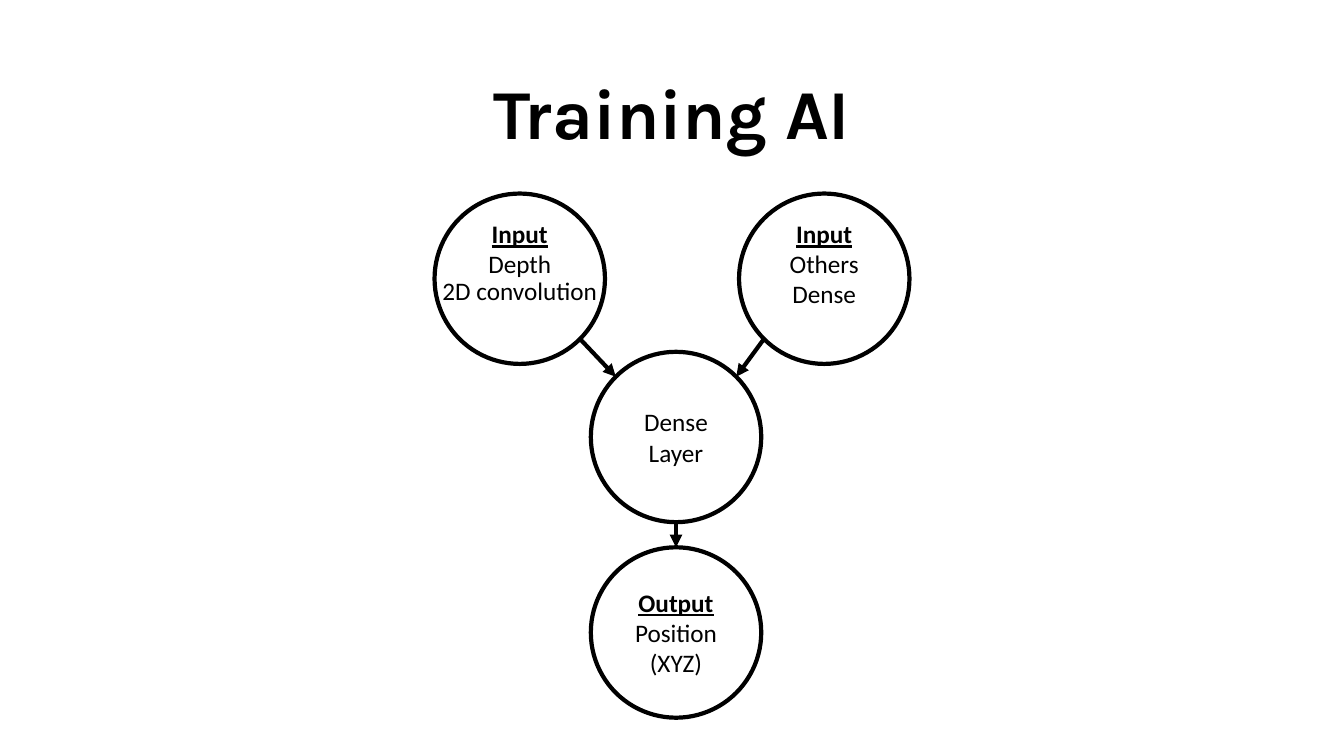
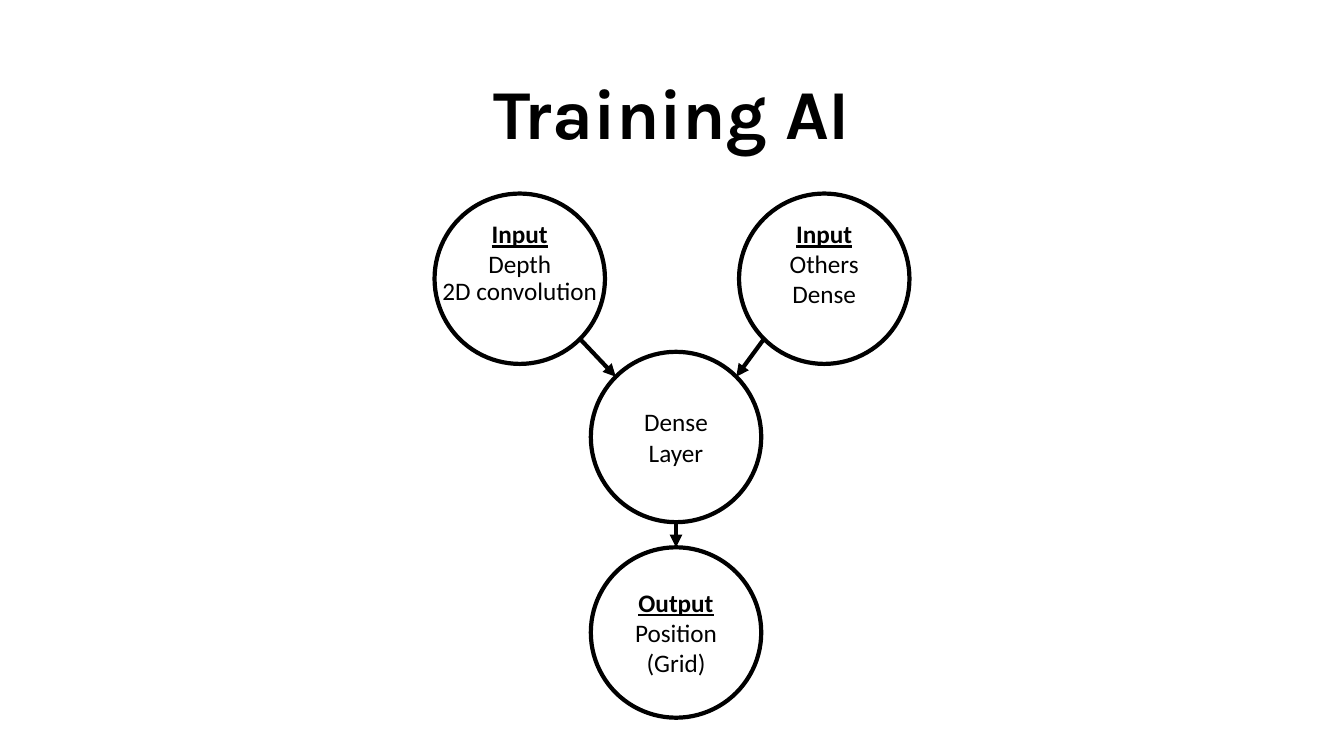
"""Build two slides that chart the layers of a neural network, one per output format."""
import math
from dataclasses import dataclass

import lxml.etree
import pptx
import pptx.dml.color
import pptx.enum.shapes
import pptx.enum.text
import pptx.oxml.ns
import pptx.util


@dataclass(frozen=True)
class Theme:
    ink: pptx.dml.color.RGBColor = pptx.dml.color.RGBColor(0, 0, 0)
    paper: pptx.dml.color.RGBColor = pptx.dml.color.RGBColor(255, 255, 255)
    title_font: str = "Karla"
    body_font: str = "Calibri"
    title_size: int = 50
    body_size: int = 18
    line_width: int = 3


@dataclass(frozen=True)
class Node:
    column: float
    row: float
    lines: tuple[str, ...]
    heading: str = ""
    captions: tuple[tuple[float, str, bool], ...] = ()
    bottom_margin: float = 0.05


@dataclass(frozen=True)
class Arrow:
    start: str
    start_site: int
    end: str
    end_site: int


THEME = Theme()
CELL = pptx.util.Inches(1)
COLUMNS, ROWS = 13.33, 7.5
DIAMETER = 1.69
CAPTION_WIDTH, CAPTION_HEIGHT = 1.84, 0.4
HEADING_CAPTION = (0.2, "Input", True)
TOP, LOWER_LEFT, BOTTOM, LOWER_RIGHT, UPPER_LEFT, UPPER_RIGHT = 0, 3, 4, 5, 1, 7
ARROWS = (
    Arrow("depth", LOWER_RIGHT, "dense", UPPER_LEFT),
    Arrow("others", LOWER_LEFT, "dense", UPPER_RIGHT),
    Arrow("dense", BOTTOM, "output", TOP),
)


def cells(count: float) -> int:
    """Convert a number of grid cells to a length."""
    return round(count * CELL)


def network(output_format: str) -> dict[str, Node]:
    """Return the nodes of the network for one output format."""
    return {
        "depth": Node(4.31, 1.92, ("Depth",), bottom_margin=0.35,
                      captions=((0.76, "2D convolution", False), HEADING_CAPTION)),
        "others": Node(7.33, 1.92, ("Others", "Dense"), captions=(HEADING_CAPTION,)),
        "dense": Node(5.86, 3.49, ("Dense\vLayer",)),
        "output": Node(5.86, 5.43, ("Position", output_format), heading="Output"),
    }


def write(paragraph, text: str, *, font: str = THEME.body_font, size: int = THEME.body_size,
          bold: bool = False, underline: bool = False) -> None:
    """Fill a centred paragraph with formatted text."""
    paragraph.text = text
    paragraph.alignment = pptx.enum.text.PP_ALIGN.CENTER
    for run in paragraph.runs:
        run.font.name = font
        run.font.size = pptx.util.Pt(size)
        run.font.bold = bold
        run.font.underline = underline
        run.font.color.rgb = THEME.ink


def add_text(slide, column: float, row: float, width: float, height: float,
             text: str, **text_format) -> None:
    """Add a wrapping text box with one paragraph."""
    frame = slide.shapes.add_textbox(*map(cells, (column, row, width, height))).text_frame
    frame.word_wrap = True
    write(frame.paragraphs[0], text, **text_format)


def add_node(slide, node: Node):
    """Draw a circle with its centred lines."""
    shape = slide.shapes.add_shape(
        pptx.enum.shapes.MSO_SHAPE.OVAL,
        *map(cells, (node.column, node.row, DIAMETER, DIAMETER)))
    shape.shadow.inherit = False
    shape.fill.solid()
    shape.fill.fore_color.rgb = THEME.paper
    shape.line.color.rgb = THEME.ink
    shape.line.width = pptx.util.Pt(THEME.line_width)
    frame = shape.text_frame
    frame.word_wrap = True
    frame.vertical_anchor = pptx.enum.text.MSO_ANCHOR.MIDDLE
    frame.margin_bottom = cells(node.bottom_margin)
    lines = (node.heading, *node.lines) if node.heading else node.lines
    for index, line in enumerate(lines):
        paragraph = frame.add_paragraph() if index else frame.paragraphs[0]
        is_heading = line == node.heading
        write(paragraph, line, bold=is_heading, underline=is_heading)
    return shape


def add_captions(slide, node: Node) -> None:
    """Lay the captions of a node over its circle."""
    column = node.column + (DIAMETER - CAPTION_WIDTH) / 2
    for offset, text, is_heading in node.captions:
        add_text(slide, column, node.row + offset, CAPTION_WIDTH, CAPTION_HEIGHT,
                 text, bold=is_heading, underline=is_heading)


def site_point(circle, site: int) -> tuple[int, int]:
    """Locate one of the eight connection sites, counted anticlockwise from the top."""
    angle = math.radians(90 + 45 * site)
    radius = circle.width / 2
    return (round(circle.left + radius * (1 + math.cos(angle))),
            round(circle.top + radius * (1 - math.sin(angle))))


def add_arrow(slide, circles: dict, arrow: Arrow) -> None:
    """Join two circles with an arrow glued to their connection sites."""
    start, end = circles[arrow.start], circles[arrow.end]
    connector = slide.shapes.add_connector(
        pptx.enum.shapes.MSO_CONNECTOR.STRAIGHT,
        *site_point(start, arrow.start_site), *site_point(end, arrow.end_site))
    connector.line.color.rgb = THEME.ink
    connector.line.width = pptx.util.Pt(THEME.line_width)
    qualified = pptx.oxml.ns.qn
    lxml.etree.SubElement(connector.line._get_or_add_ln(), qualified("a:tailEnd"), type="triangle")
    lxml.etree.SubElement(connector._element.spPr, qualified("a:effectLst"))
    joints = connector._element.find(".//" + qualified("p:cNvCxnSpPr"))
    for tag, circle, site in (("a:stCxn", start, arrow.start_site),
                              ("a:endCxn", end, arrow.end_site)):
        lxml.etree.SubElement(joints, qualified(tag), id=str(circle.shape_id), idx=str(site))


def add_network_slide(presentation, output_format: str) -> None:
    """Add a titled slide with the whole network."""
    slide = presentation.slides.add_slide(presentation.slide_layouts[6])
    add_text(slide, 2.94, 0.64, 7.45, 0.94, "Training AI",
             font=THEME.title_font, size=THEME.title_size, bold=True)
    nodes = network(output_format)
    circles = {name: add_node(slide, node) for name, node in nodes.items()}
    for node in nodes.values():
        add_captions(slide, node)
    for arrow in ARROWS:
        add_arrow(slide, circles, arrow)


def main() -> None:
    """Build and save the presentation."""
    presentation = pptx.Presentation()
    presentation.slide_width = cells(COLUMNS)
    presentation.slide_height = cells(ROWS)
    for output_format in ("(XYZ)", "(Grid)"):
        add_network_slide(presentation, output_format)
    presentation.save("out.pptx")


if __name__ == "__main__":
    main()
